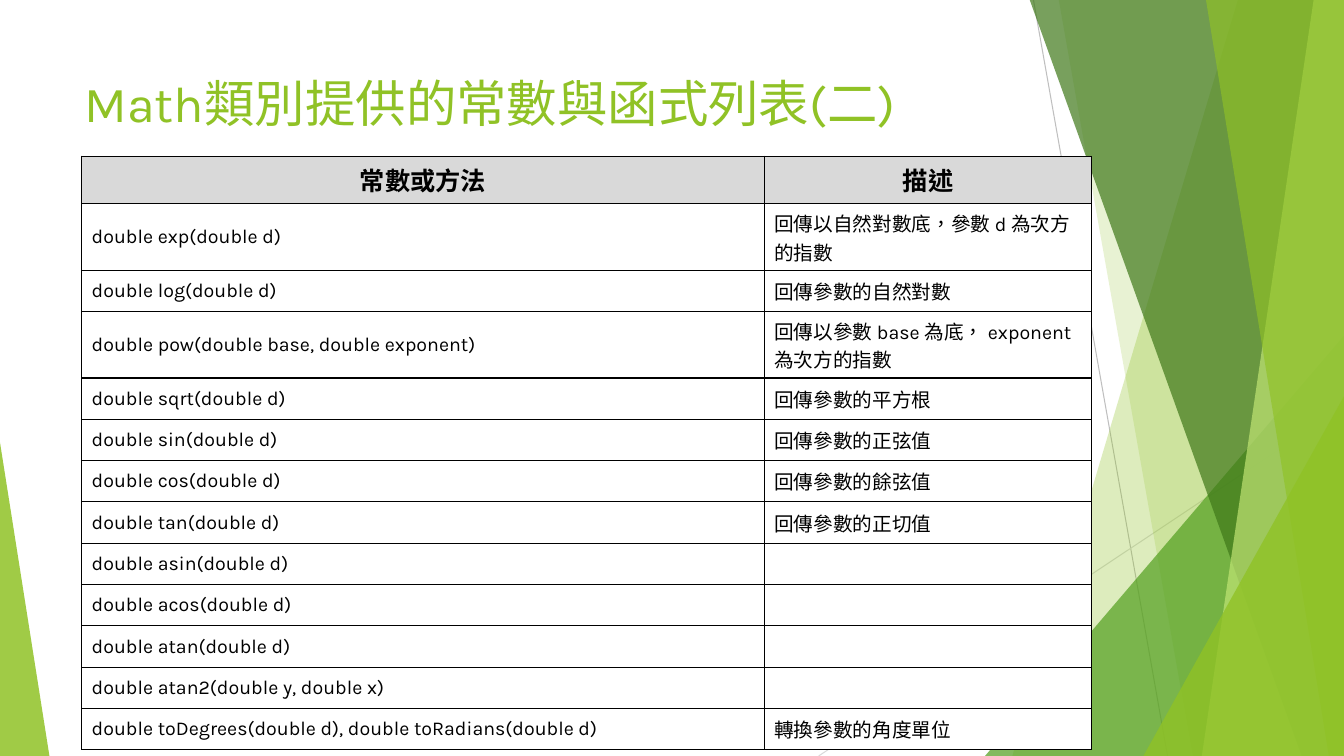
from dataclasses import dataclass

from lxml.etree import SubElement
from pptx import Presentation
from pptx.dml.color import RGBColor
from pptx.enum.lang import MSO_LANGUAGE_ID
from pptx.enum.shapes import MSO_CONNECTOR, MSO_SHAPE
from pptx.enum.text import MSO_ANCHOR, PP_ALIGN
from pptx.oxml.ns import qn
from pptx.util import Inches, Pt

FONT = "Karla"
BLACK = RGBColor(0x00, 0x00, 0x00)
WHITE = RGBColor(0xFF, 0xFF, 0xFF)
GRAY = RGBColor(0xD9, 0xD9, 0xD9)
SILVER = RGBColor(0xBF, 0xBF, 0xBF)
LIME = RGBColor(0x90, 0xC2, 0x26)
PALE = RGBColor(0xC0, 0xE4, 0x74)
GREEN = RGBColor(0x54, 0xA0, 0x21)
DARK = RGBColor(0x3F, 0x78, 0x19)
WIDE, HIGH, TOP = 13.33, 7.5, -0.01
# Row heights: header, two lines of text, one line of text
HEAD, TALL, ROW = 0.47, 0.66, 0.41


@dataclass
class Ray:
    start: tuple[float, float]
    end: tuple[float, float]
    color: RGBColor


@dataclass
class Band:
    """Sheet reaching the right edge, slanted from head to foot."""
    head: float
    foot: float
    color: RGBColor
    alpha: int


@dataclass
class Wedge:
    left: float
    top: float
    width: float
    tip: float
    color: RGBColor
    alpha: int


@dataclass
class Entry:
    name: str
    note: str = ""
    height: float = ROW


RAYS = [
    Ray((10.25, 0), (11.58, HIGH), SILVER),
    Ray((WIDE, 4.03), (8.12, HIGH), GRAY),
]
SHEETS = [
    Band(12.28, 10.04, LIME, 30),
    Band(10.5, 11.83, LIME, 20),
    Wedge(9.77, 3.33, 3.56, 1, GREEN, 72),
    Band(10.21, 12.91, DARK, 70),
    Band(13.03, 11.92, PALE, 70),
    Band(11.96, 13.18, LIME, 65),
    Wedge(11.34, 3.93, 1.99, 1, LIME, 80),
    Wedge(0, 4.39, 0.49, 0, LIME, 85),
]
ENTRIES = [
    Entry("常數或方法", "描述", HEAD),
    Entry("double exp(double d)", "回傳以自然對數底，參數 d 為次方的指數", TALL),
    Entry("double log(double d)", "回傳參數的自然對數"),
    Entry("double pow(double base, double exponent)",
          "回傳以參數 base 為底， exponent為次方的指數", TALL),
    Entry("double sqrt(double d)", "回傳參數的平方根"),
    Entry("double sin(double d)", "回傳參數的正弦值"),
    Entry("double cos(double d)", "回傳參數的餘弦值"),
    Entry("double tan(double d)", "回傳參數的正切值"),
    Entry("double asin(double d)"),
    Entry("double acos(double d)"),
    Entry("double atan(double d)"),
    Entry("double atan2(double y, double x)"),
    Entry("double toDegrees(double d), double toRadians(double d)",
          "轉換參數的角度單位"),
]


def add_ray(slide, ray: Ray) -> None:
    ends = [Inches(n) for n in ray.start + ray.end]
    line = slide.shapes.add_connector(MSO_CONNECTOR.STRAIGHT, *ends)
    line.line.color.rgb = ray.color
    line.line.width = Pt(0.75)
    SubElement(line._element.spPr, qn("a:effectLst"))


def add_sheet(slide, sheet: Band | Wedge) -> None:
    if isinstance(sheet, Band):
        points = [(sheet.head, TOP), (WIDE, TOP), (WIDE, HIGH), (sheet.foot, HIGH)]
        first, *rest = [(Inches(x), Inches(y)) for x, y in points]
        path = slide.shapes.build_freeform(*first)
        path.add_line_segments(rest, close=True)
        shape = path.convert_to_shape()
    else:
        shape = slide.shapes.add_shape(
            MSO_SHAPE.ISOSCELES_TRIANGLE, Inches(sheet.left), Inches(sheet.top),
            Inches(sheet.width), Inches(HIGH - sheet.top))
        shape.adjustments[0] = sheet.tip
    shape.shadow.inherit = False
    shape.line.fill.background()
    shape.fill.solid()
    shape.fill.fore_color.rgb = sheet.color
    tint = shape._element.spPr.find(qn("a:solidFill"))[0]
    SubElement(tint, qn("a:alpha"), val=str(sheet.alpha * 1000))


def add_run(para, text: str, size: int, color: RGBColor, bold: bool = False) -> None:
    run = para.add_run()
    run.text = text
    font = run.font
    font.name, font.size, font.bold = FONT, Pt(size), bold
    font.color.rgb = color
    font.language_id = MSO_LANGUAGE_ID.TRADITIONAL_CHINESE


def add_title(slide, text: str) -> None:
    box = slide.shapes.add_textbox(Inches(0.74), Inches(0.67), Inches(9.4), Inches(1.44))
    box.text_frame.word_wrap = True
    add_run(box.text_frame.paragraphs[0], text, 36, LIME)


def set_cell(cell, text: str, head: bool) -> None:
    # Borders come before the fill in the cell properties
    props = cell._tc.get_or_add_tcPr()
    for side in ("lnL", "lnR", "lnT", "lnB"):
        edge = SubElement(props, qn(f"a:{side}"), w=str(Pt(1)))
        fill = SubElement(edge, qn("a:solidFill"))
        SubElement(fill, qn("a:srgbClr"), val=str(BLACK))
    cell.fill.solid()
    cell.fill.fore_color.rgb = GRAY if head else WHITE
    cell.vertical_anchor = MSO_ANCHOR.TOP if head else MSO_ANCHOR.MIDDLE
    para = cell.text_frame.paragraphs[0]
    para.alignment = PP_ALIGN.CENTER if head else PP_ALIGN.LEFT
    if text:
        add_run(para, text, 18 if head else 14, BLACK, head)


def add_grid(slide) -> None:
    total = sum(entry.height for entry in ENTRIES)
    frame = slide.shapes.add_table(
        len(ENTRIES), 2, Inches(0.81), Inches(1.55), Inches(10.02), Inches(total))
    table = frame.table
    table.first_row = table.horz_banding = False
    for col, width in zip(table.columns, (6.77, 3.25)):
        col.width = Inches(width)
    for r, entry in enumerate(ENTRIES):
        table.rows[r].height = Inches(entry.height)
        for c, text in enumerate((entry.name, entry.note)):
            set_cell(table.cell(r, c), text, r == 0)


def main() -> None:
    deck = Presentation()
    deck.slide_width, deck.slide_height = Inches(WIDE), Inches(HIGH)
    slide = deck.slides.add_slide(deck.slide_layouts[6])

    # Backdrop
    for ray in RAYS:
        add_ray(slide, ray)
    for sheet in SHEETS:
        add_sheet(slide, sheet)

    # Content
    add_title(slide, "Math類別提供的常數與函式列表(二)")
    add_grid(slide)
    deck.save("out.pptx")


if __name__ == "__main__":
    main()
